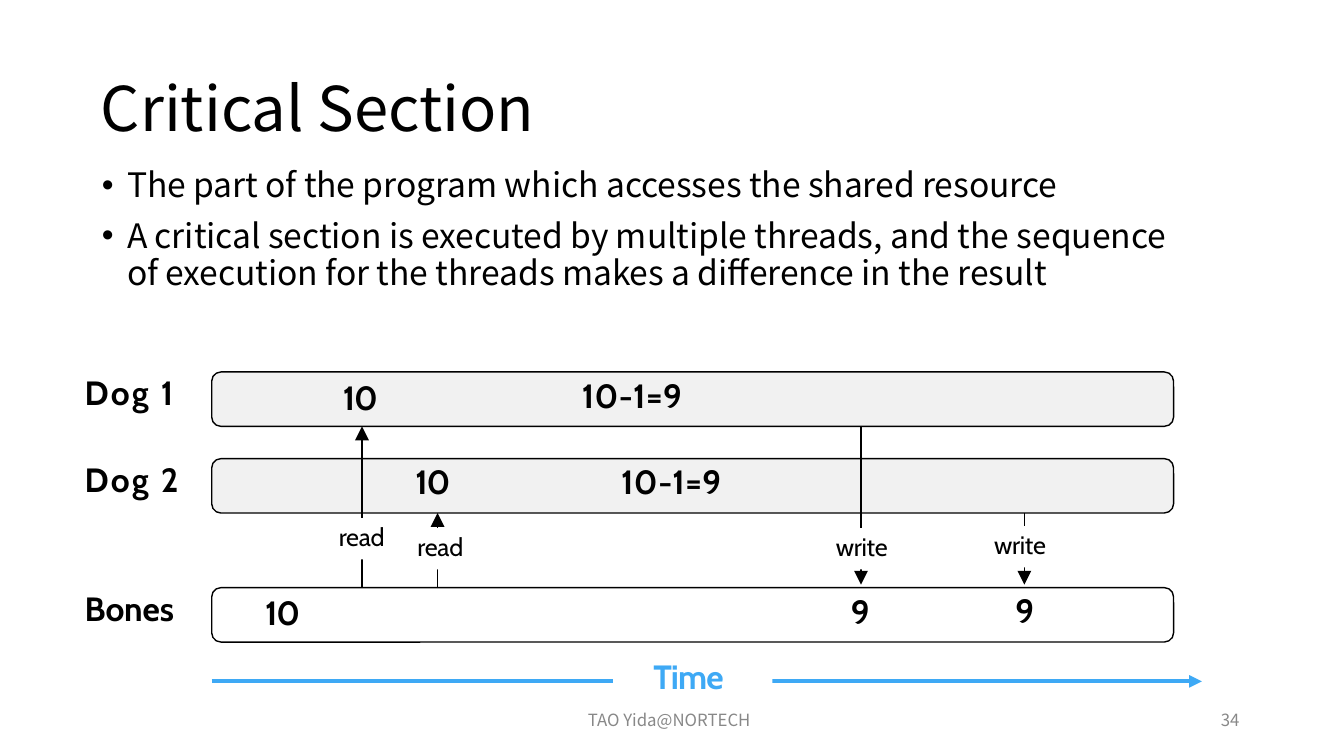
from lxml.etree import SubElement
from pptx import Presentation
from pptx.dml.color import RGBColor
from pptx.enum.shapes import MSO_CONNECTOR, MSO_SHAPE
from pptx.enum.text import MSO_ANCHOR, PP_ALIGN
from pptx.oxml.ns import qn
from pptx.util import Inches, Pt

COLORS = {"ink": "000000", "footer": "888888", "lane": "F1F1F1",
          "paper": "FFFFFF", "time": "3EA9F5"}
HEADING_FONT, DIAGRAM_FONT = "Noto Sans CJK SC", "Cabin"
LANE_LEFT, LANE_WIDTH, LANE_HEIGHT = 2.1, 9.54, 0.54
LABEL_WIDTH, LABEL_HEIGHT = 0.77, 0.41

prs = Presentation()
prs.slide_width, prs.slide_height = Inches(13.33), Inches(7.5)
slide = prs.slides.add_slide(prs.slide_layouts[5])


def write(box, text, size, font=DIAGRAM_FONT, color="ink", bold=False,
          spacing=0, insets=(0, 0.01)):
    """Fill a box with top-left text; spacing is letter spacing in points."""
    frame = box.text_frame
    frame.text = text
    frame.word_wrap = True
    frame.vertical_anchor = MSO_ANCHOR.TOP
    frame.margin_left, frame.margin_top = map(Inches, insets)
    frame.margin_right = frame.margin_bottom = 0
    for paragraph in frame.paragraphs:
        paragraph.alignment = PP_ALIGN.LEFT
        paragraph.space_before = Pt(1)
        for run in paragraph.runs:
            run.font.name, run.font.size, run.font.bold = font, Pt(size), bold
            run.font.color.rgb = RGBColor.from_string(COLORS[color])
            if spacing:
                run.font._element.set("spc", str(round(spacing * 100)))
    return frame


def add_arrow(x1, y1, x2, y2, color, width, head_size):
    arrow = slide.shapes.add_connector(
        MSO_CONNECTOR.STRAIGHT, Inches(x1), Inches(y1), Inches(x2), Inches(y2))
    arrow.line.color.rgb = RGBColor.from_string(COLORS[color])
    arrow.line.width = Pt(width)
    SubElement(arrow.line._get_or_add_ln(), qn("a:tailEnd"),
               type="triangle", w=head_size, len=head_size)
    SubElement(arrow._element.spPr, qn("a:effectLst"))


# Title and definition
title = slide.shapes.title
title.left, title.top, title.width, title.height = map(Inches, (1, 0.68, 10.75, 0.76))
write(title, "Critical Section", 44, HEADING_FONT)

definition = slide.shapes.add_textbox(Inches(1), Inches(1.52), Inches(10.75), Inches(1.39))
points = write(
    definition,
    "The part of the program which accesses the shared resource\n"
    "A critical section is executed by multiple threads, and the sequence "
    "of execution for the threads makes a difference in the result",
    24, HEADING_FONT, spacing=-0.05, insets=(0, 0.11)).paragraphs
for point, gap in zip(points, (8.2, 10.4)):
    point.space_before = Pt(gap)
    properties = point._p.get_or_add_pPr()
    properties.set("marL", str(Inches(0.26)))
    properties.set("indent", str(-Inches(0.25)))
    SubElement(properties, qn("a:buFont"), typeface="Arial")
    SubElement(properties, qn("a:buChar"), char="•")
points[1].line_spacing = Pt(25.9)

# Lanes, with their names on the left
lane_tops = {"Dog 1": 3.69, "Dog 2": 4.55, "Bones": 5.83}
for name, top in lane_tops.items():
    lane = slide.shapes.add_shape(
        MSO_SHAPE.ROUNDED_RECTANGLE, Inches(LANE_LEFT), Inches(top),
        Inches(LANE_WIDTH), Inches(LANE_HEIGHT))
    lane.adjustments[0] = 0.17
    lane.shadow.inherit = False
    lane.fill.solid()
    lane.fill.fore_color.rgb = RGBColor.from_string(
        COLORS["paper" if name == "Bones" else "lane"])
    lane.line.color.rgb = RGBColor.from_string(COLORS["ink"])
    lane.line.width = Pt(1)
    caption = slide.shapes.add_textbox(
        Inches(0.84), Inches(top - 0.01), Inches(1.1), Inches(0.43))
    write(caption, name, 24, bold=True, spacing=-0.1 if name == "Bones" else 1.6)

# Reads go up from Bones, writes come down to it
bones_top = lane_tops["Bones"]
for action, dog, x, label_left, label_top in (
        ("read", "Dog 1", 3.59, 3.27, 5.14),
        ("read", "Dog 2", 4.34, 4.05, 5.24),
        ("write", "Dog 1", 8.54, 8.2, 5.24),
        ("write", "Dog 2", 10.16, 9.77, 5.22)):
    dog_bottom = lane_tops[dog] + LANE_HEIGHT
    if action == "read":
        add_arrow(x, bones_top, x, dog_bottom, "ink", 1, "lg")
    else:
        add_arrow(x, dog_bottom, x, bones_top - 0.03, "ink", 1, "lg")
    label = slide.shapes.add_textbox(
        Inches(label_left), Inches(label_top), Inches(LABEL_WIDTH), Inches(LABEL_HEIGHT))
    label.fill.solid()
    label.fill.fore_color.rgb = RGBColor.from_string(COLORS["paper"])
    write(label, action, 18, spacing=-0.2, insets=(0.09, 0.03))

# Values held in each lane
for value, left, top, spacing in (
        ("10", 3.4, 3.73, -0.8), ("10-1=9", 5.77, 3.71, 0.4),
        ("10", 4.12, 4.56, -0.8), ("10-1=9", 6.16, 4.56, 0.4),
        ("10", 2.63, 5.86, -0.8), ("9", 8.44, 5.85, -0.8), ("9", 10.07, 5.84, -0.8)):
    held = slide.shapes.add_textbox(
        Inches(left), Inches(top), Inches(0.22 * len(value)), Inches(0.43))
    write(held, value, 24, bold=True, spacing=spacing).word_wrap = False

# Time axis
add_arrow(LANE_LEFT, 6.76, 11.92, 6.76, "time", 3, "med")
time_label = slide.shapes.add_textbox(Inches(6.08), Inches(6.48), Inches(1.58), Inches(0.51))
time_label.fill.solid()
time_label.fill.fore_color.rgb = RGBColor.from_string(COLORS["paper"])
write(time_label, "Time", 24, color="time", bold=True, spacing=-0.6, insets=(0.4, 0.03))

# Footer
for text, left, width in (("TAO Yida@NORTECH", 5.83, 1.8), ("34", 12.11, 0.3)):
    footer = slide.shapes.add_textbox(Inches(left), Inches(7.03), Inches(width), Inches(0.23))
    write(footer, text, 12, HEADING_FONT, "footer")

prs.save("out.pptx")
